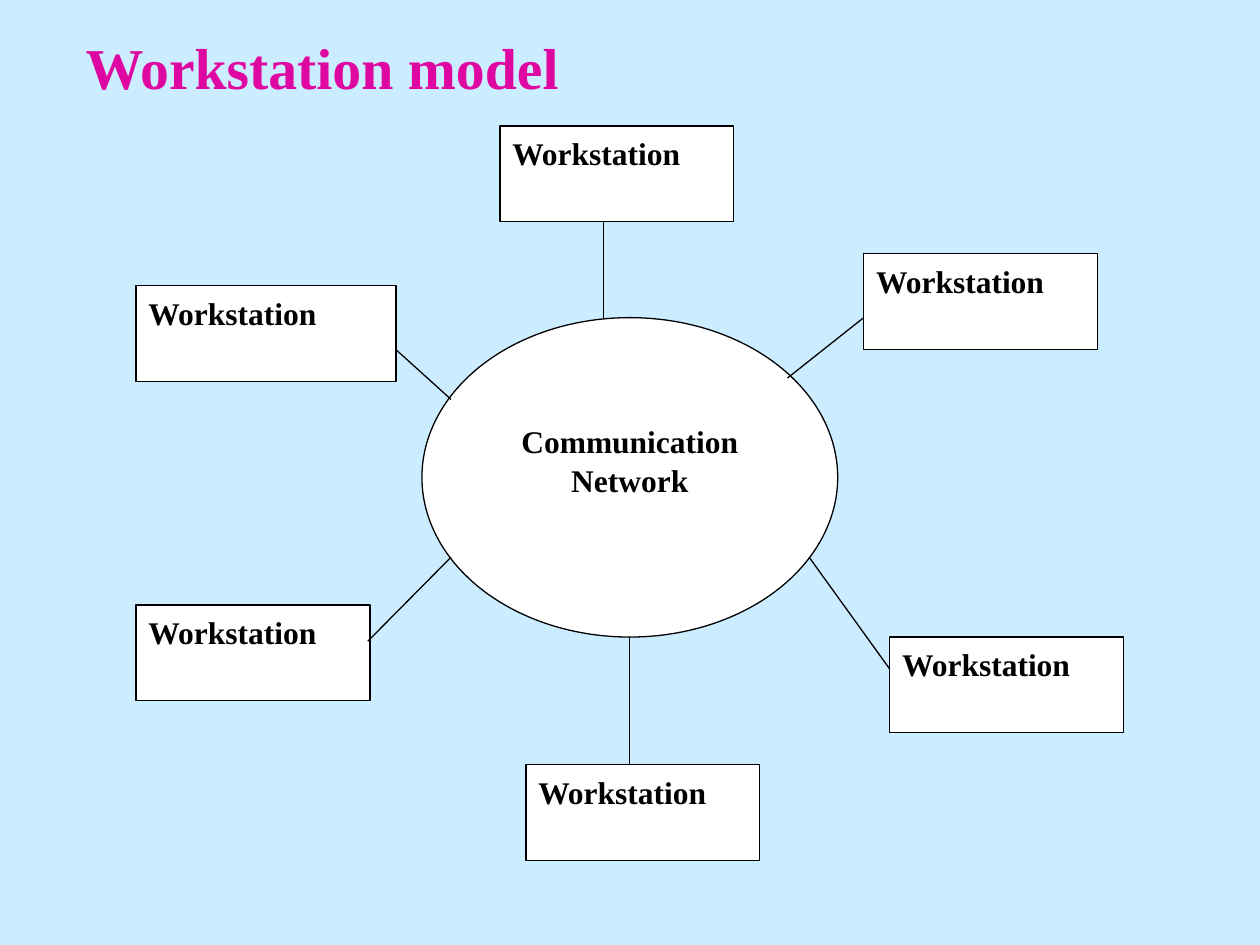
from pptx import Presentation
from pptx.dml.color import RGBColor
from pptx.enum.shapes import MSO_CONNECTOR, MSO_SHAPE
from pptx.enum.text import MSO_ANCHOR, MSO_AUTO_SIZE, PP_ALIGN
from pptx.oxml.ns import qn
from pptx.util import Inches, Pt
from lxml.etree import SubElement

COLORS = {"background": "CCECFF", "title": "DF07A1", "ink": "000000", "paper": "FFFFFF"}
FONT = "Times New Roman"

# Diagram grid, in inches
GRID_LEFT, GRID_TOP = 1.08, 1.0
COLUMN, ROW = 3.3 / 16, 5.07 / 20

# Column, row and width in columns of each workstation
WORKSTATIONS = [(14, 0, 9), (28, 4, 9), (29, 16, 9), (0, 5, 10), (0, 15, 9), (15, 20, 9)]
WORKSTATION_ROWS = 3

# Grid points at both ends of each link
LINKS = [
    ((18, 3), (18, 6)),
    ((19, 16), (19, 20)),
    ((10, 7), (12.12, 8.56)),
    ((12.12, 13.5), (8.92, 16.13)),
    ((25.07, 7.89), (28, 6)),
    ((25.9, 13.5), (29, 17)),
]


def color(name):
    return RGBColor.from_string(COLORS[name])


def grid_point(column, row):
    return Inches(GRID_LEFT + column * COLUMN), Inches(GRID_TOP + row * ROW)


def add_text(para, text, size, ink, align):
    para.alignment = align
    span = para.add_run()
    span.text = text
    span.font.name = FONT
    span.font.size = Pt(size)
    span.font.bold = True
    span.font.color.rgb = color(ink)


def add_box(page, kind, column, row, columns, rows, text="", align=PP_ALIGN.LEFT, outlined=True):
    box = page.shapes.add_shape(
        kind, *grid_point(column, row), Inches(columns * COLUMN), Inches(rows * ROW))
    box.shadow.inherit = False
    box.fill.solid()
    box.fill.fore_color.rgb = color("paper")
    if outlined:
        box.line.color.rgb = color("ink")
        box.line.width = Pt(0.75)
    else:
        box.line.fill.background()
    if text:
        frame = box.text_frame
        frame.word_wrap = True
        frame.vertical_anchor = MSO_ANCHOR.TOP
        para = frame.paragraphs[0]
        para.line_spacing = 1.05
        add_text(para, text, 18, "ink", align)


def add_link(page, start, end):
    link = page.shapes.add_connector(
        MSO_CONNECTOR.STRAIGHT, *grid_point(*start), *grid_point(*end))
    link.line.color.rgb = color("ink")
    link.line.width = Pt(0.75)
    SubElement(link._element.spPr, qn("a:effectLst"))


def set_title(page, text):
    title = page.shapes.title
    title.left, title.top = Inches(0.58), Inches(0.25)
    title.width, title.height = Inches(9), Inches(0.58)
    frame = title.text_frame
    frame.auto_size = MSO_AUTO_SIZE.NONE
    frame.vertical_anchor = MSO_ANCHOR.BOTTOM
    frame.margin_bottom = Inches(0.03)
    add_text(frame.paragraphs[0], text, 33, "title", PP_ALIGN.JUSTIFY)


def main():
    deck = Presentation()
    deck.slide_width, deck.slide_height = Inches(10), Inches(7.5)
    page = deck.slides.add_slide(deck.slide_layouts.get_by_name("Title Only"))
    page.background.fill.solid()
    page.background.fill.fore_color.rgb = color("background")
    set_title(page, "Workstation model")

    # Network in the centre
    add_box(page, MSO_SHAPE.OVAL, 11, 6, 16, 10)
    add_box(page, MSO_SHAPE.RECTANGLE, 13, 9, 12, 4,
            "Communication Network", PP_ALIGN.CENTER, outlined=False)

    # Workstations around it
    for column, row, columns in WORKSTATIONS:
        add_box(page, MSO_SHAPE.RECTANGLE, column, row, columns, WORKSTATION_ROWS, "Workstation")

    # Links to the network
    for start, end in LINKS:
        add_link(page, start, end)

    deck.save("out.pptx")


main()
